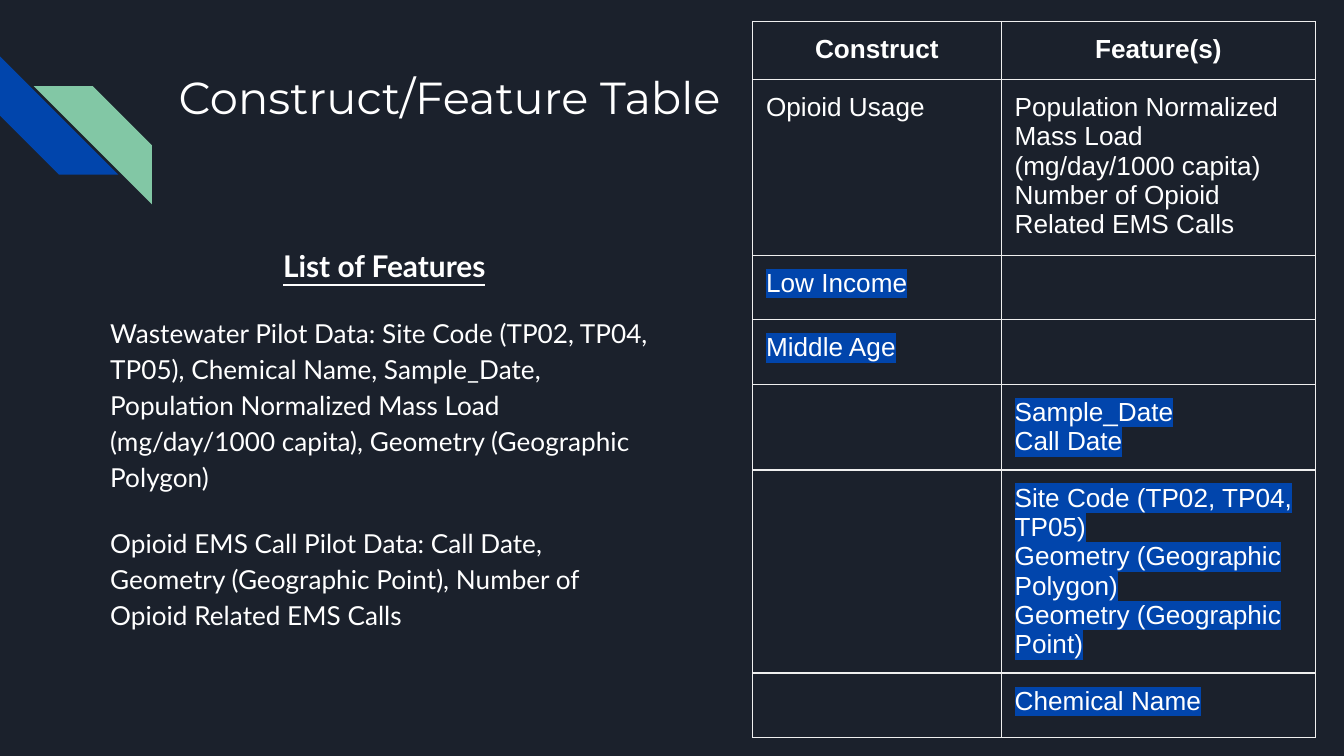
"""Build the construct and feature table slide."""
from dataclasses import dataclass

from lxml import etree
from pptx import Presentation
from pptx.dml.color import RGBColor
from pptx.enum.shapes import MSO_SHAPE
from pptx.enum.text import MSO_ANCHOR, MSO_AUTO_SIZE, PP_ALIGN
from pptx.oxml import parse_xml
from pptx.oxml.ns import nsdecls, qn
from pptx.util import Inches, Pt

STRIPE = MSO_SHAPE.DIAGONAL_STRIPE
TOP = MSO_ANCHOR.TOP
NO_AUTOFIT = MSO_AUTO_SIZE.NONE
LEFT, CENTER = PP_ALIGN.LEFT, PP_ALIGN.CENTER


@dataclass(frozen=True)
class Theme:
    background: str = "1B212C"
    text: str = "FFFFFF"
    blue: str = "0145AC"
    green: str = "82C7A5"
    border: str = "EFEFEF"
    title_size: int = 24
    heading_size: int = 16
    text_size: int = 14
    title_font: str = "Montserrat"
    body_font: str = "Lato"
    table_font: str = "Arial"


theme = Theme()


def style_spans(para, font, size, bold=False):
    for span in para.runs:
        span.font.name = font
        span.font.size = Pt(size)
        span.font.bold = bold
        span.font.color.rgb = RGBColor.from_string(theme.text)


def prepare_frame(box, left, top, width, height):
    box.left, box.top = Inches(left), Inches(top)
    box.width, box.height = Inches(width), Inches(height)
    frame = box.text_frame
    frame.word_wrap = True
    frame.auto_size = NO_AUTOFIT
    frame.vertical_anchor = TOP
    frame.margin_left = frame.margin_right = Inches(0.1)
    frame.margin_top = frame.margin_bottom = Inches(0.1)
    return frame


deck = Presentation()
deck.slide_width, deck.slide_height = Inches(10), Inches(10 * 9 / 16)
page = deck.slides.add_slide(deck.slide_layouts[1])
page.background.fill.solid()
page.background.fill.fore_color.rgb = RGBColor.from_string(theme.background)

for left, top, color, rotation, flipped in (
    (0, 0.42, theme.blue, 270, False),
    (0.25, 0.64, theme.green, 0, True),
):
    stripe = page.shapes.add_shape(
        STRIPE, Inches(left), Inches(top), Inches(0.88), Inches(0.88)
    )
    stripe.shadow.inherit = False
    stripe.rotation = rotation
    stripe.fill.solid()
    stripe.fill.fore_color.rgb = RGBColor.from_string(color)
    stripe.line.fill.background()
    if flipped:
        stripe.element.spPr.find(qn("a:xfrm")).set("flipH", "1")

title_frame = prepare_frame(page.shapes.title, 1.23, 0.42, 7.7, 1)
title_frame.text = "Construct/Feature Table"
title_frame.paragraphs[0].alignment = LEFT
style_spans(title_frame.paragraphs[0], theme.title_font, theme.title_size)

body_frame = prepare_frame(page.placeholders[1], 0.72, 1.7, 4.28, 3.18)
body_frame.text = "\n".join((
    "List of Features",
    "Wastewater Pilot Data: Site Code (TP02, TP04, TP05), Chemical Name, "
    "Sample_Date, Population Normalized Mass Load (mg/day/1000 capita), "
    "Geometry (Geographic Polygon)",
    "Opioid EMS Call Pilot Data: Call Date, Geometry (Geographic Point), "
    "Number of Opioid Related EMS Calls",
))
for index, para in enumerate(body_frame.paragraphs):
    heading = index == 0
    properties = para._p.get_or_add_pPr()
    properties.set("marL", "0")
    properties.set("indent", "0")
    etree.SubElement(properties, qn("a:buNone"))
    para.alignment = CENTER if heading else LEFT
    para.line_spacing = 1.15
    para.space_before = Pt(0 if heading else 16)
    size = theme.heading_size if heading else theme.text_size
    style_spans(para, theme.body_font, size, heading)
body_frame.paragraphs[0].runs[0].font.underline = True
body_frame.paragraphs[-1].space_after = Pt(16)

column_widths = (1.85, 2.34)
rows = (
    (0.43, "Construct", "Feature(s)"),
    (1.31, "Opioid Usage",
     "Population Normalized Mass Load (mg/day/1000 capita)\n"
     "Number of Opioid Related EMS Calls"),
    (0.48, "Low Income", ""),
    (0.48, "Middle Age", ""),
    (0.63, "", "Sample_Date\nCall Date"),
    (1.51, "",
     "Site Code (TP02, TP04, TP05)\nGeometry (Geographic Polygon)\n"
     "Geometry (Geographic Point)"),
    (0.48, "", "Chemical Name"),
)
first_highlighted_row = 2
table = page.shapes.add_table(
    len(rows), len(column_widths), Inches(5.6), Inches(0.16),
    Inches(sum(column_widths)), Inches(sum(row[0] for row in rows)),
).table
table.first_row = table.horz_banding = False
for column, width in zip(table.columns, column_widths):
    column.width = Inches(width)

for row_index, (height, *texts) in enumerate(rows):
    table.rows[row_index].height = Inches(height)
    for column_index, text in enumerate(texts):
        cell = table.cell(row_index, column_index)
        cell.fill.background()
        cell_properties = cell._tc.get_or_add_tcPr()
        for position, side in enumerate(("lnL", "lnR", "lnT", "lnB")):
            cell_properties.insert(position, parse_xml(
                f'<a:{side} {nsdecls("a")} w="{Pt(0.75)}"><a:solidFill>'
                f'<a:srgbClr val="{theme.border}"/></a:solidFill></a:{side}>'
            ))
        if not text:
            continue
        cell.margin_left = cell.margin_right = Inches(0.1)
        cell.margin_top = cell.margin_bottom = Inches(0.1)
        cell.text_frame.text = text
        header = row_index == 0
        for para in cell.text_frame.paragraphs:
            para.alignment = CENTER if header else LEFT
            style_spans(para, theme.table_font, theme.text_size, header)
            if row_index >= first_highlighted_row:
                fill = para.runs[0]._r.rPr.find(qn("a:solidFill"))
                fill.addnext(parse_xml(
                    f'<a:highlight {nsdecls("a")}>'
                    f'<a:srgbClr val="{theme.blue}"/></a:highlight>'
                ))

deck.save("out.pptx")
